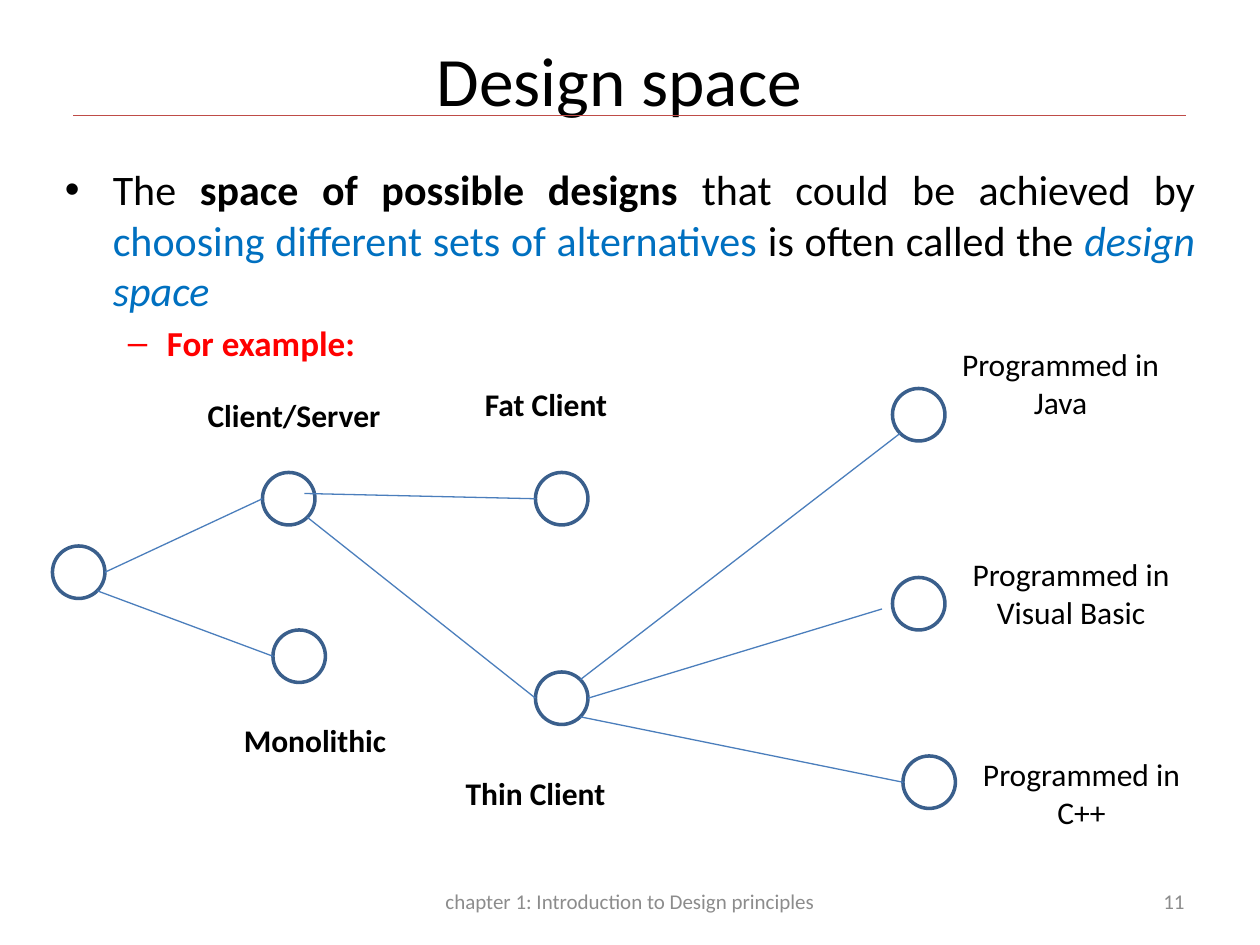
from math import cos, radians, sin

from lxml import etree
from pptx import Presentation
from pptx.dml.color import RGBColor
from pptx.enum.shapes import MSO_CONNECTOR, MSO_SHAPE
from pptx.enum.text import MSO_ANCHOR, PP_ALIGN
from pptx.oxml.ns import qn
from pptx.util import Inches, Pt

CENTER, RIGHT, JUSTIFY = PP_ALIGN.CENTER, PP_ALIGN.RIGHT, PP_ALIGN.JUSTIFY
TOP, MIDDLE = MSO_ANCHOR.TOP, MSO_ANCHOR.MIDDLE
OVAL, STRAIGHT = MSO_SHAPE.OVAL, MSO_CONNECTOR.STRAIGHT

BLACK = RGBColor(0x00, 0x00, 0x00)
WHITE = RGBColor(0xFF, 0xFF, 0xFF)
GRAY = RGBColor(0x8C, 0x8C, 0x8C)
BLUE = RGBColor(0x00, 0x70, 0xC0)
RED = RGBColor(0xFF, 0x00, 0x00)
OUTLINE = RGBColor(0x3A, 0x5F, 0x8C)
BRANCH = RGBColor(0x4B, 0x7E, 0xBC)
RULE = RGBColor(0xBF, 0x4C, 0x48)

COLUMNS, ROWS = 120, 90
NODE_SIZE = 5
LABEL_SIZE = (22, 7)


class TreeSlide:
    """Draws a titled decision tree on a grid of columns and rows."""

    def __init__(self, deck):
        self.slide = deck.slides.add_slide(deck.slide_layouts[6])
        self.column = deck.slide_width / COLUMNS
        self.row = deck.slide_height / ROWS
        self.base = {"name": "Calibri", "bold": False, "italic": False}

    def place(self, column, row):
        return round(column * self.column), round(row * self.row)

    def styled_run(self, paragraph, text, size, color=BLACK, **style):
        run = paragraph.add_run()
        run.text = text
        for key, value in {**self.base, "size": Pt(size), **style}.items():
            setattr(run.font, key, value)
        run.font.color.rgb = color

    def frame(self, column, row, width, height, anchor=MIDDLE):
        box = self.slide.shapes.add_textbox(
            *self.place(column, row), *self.place(width, height))
        for key, value in {"word_wrap": True, "vertical_anchor": anchor}.items():
            setattr(box.text_frame, key, value)
        return box.text_frame

    def text(self, area, text, size, color=BLACK, align=CENTER, **style):
        paragraph = self.frame(*area).paragraphs[0]
        paragraph.alignment = align
        self.styled_run(paragraph, text, size, color, **style)

    def bullets(self, area, items):
        frame = self.frame(*area, anchor=TOP)
        for index, (mark, margin, hang, size, before, runs) in enumerate(items):
            paragraph = frame.add_paragraph() if index else frame.paragraphs[0]
            properties = paragraph._p.get_or_add_pPr()
            properties.set("marL", str(Inches(margin)))
            properties.set("indent", str(-Inches(hang)))
            etree.SubElement(properties, qn("a:buFont"), typeface="Arial")
            etree.SubElement(properties, qn("a:buChar"), char=mark)
            paragraph.alignment = JUSTIFY
            paragraph.space_before = Pt(before)
            for text, color, style in runs:
                self.styled_run(paragraph, text, size, color, **style)

    def node(self, column, row):
        circle = self.slide.shapes.add_shape(
            OVAL, *self.place(column, row), *self.place(NODE_SIZE, NODE_SIZE))
        circle.shadow.inherit = False
        circle.fill.solid()
        circle.fill.fore_color.rgb = WHITE
        circle.line.color.rgb = OUTLINE
        circle.line.width = Pt(2)

    def line(self, start, end, color=BRANCH):
        connector = self.slide.shapes.add_connector(
            STRAIGHT, *self.place(*start), *self.place(*end))
        connector.line.color.rgb = color
        connector.line.width = Pt(0.75)
        etree.SubElement(connector._element.spPr, qn("a:effectLst"))


def rim(node, angle):
    """Return the point on a node's rim, clockwise in degrees from the right."""
    radius = NODE_SIZE / 2
    turn = radians(angle)
    return (node[0] + radius * (1 + cos(turn)),
            node[1] + radius * (1 + sin(turn)))


ROOT = (5, 52)
CLIENT_SERVER, MONOLITHIC = (25, 45), (26, 60)
FAT_CLIENT, THIN_CLIENT = (51, 45), (51, 64)
JAVA, VISUAL_BASIC, CPP = (85, 37), (85, 55), (86, 72)
NODES = [ROOT, CLIENT_SERVER, MONOLITHIC, FAT_CLIENT, THIN_CLIENT,
         JAVA, VISUAL_BASIC, CPP]

BRANCHES = [
    (rim(ROOT, 0), rim(CLIENT_SERVER, 180)),
    (rim(ROOT, 45), rim(MONOLITHIC, 180)),
    ((29, 47), rim(FAT_CLIENT, 180)),
    (rim(CLIENT_SERVER, 45), rim(THIN_CLIENT, 180)),
    (rim(THIN_CLIENT, -45), rim(JAVA, 135)),
    (rim(THIN_CLIENT, 0), (84, 58)),
    (rim(THIN_CLIENT, 45), rim(CPP, 180)),
]

LABELS = [
    (17, 36, "Client/Server", True),
    (19, 67, "Monolithic", True),
    (41, 35, "Fat Client", True),
    (40, 72, "Thin Client", True),
    (90, 33, "Programmed in Java", False),
    (91, 53, "Programmed in Visual Basic", False),
    (92, 72, "Programmed in C++", False),
]

BODY = [
    ("•", 0.38, 0.38, 24, 0, [
        ("The ", BLACK, {}),
        ("space of possible designs ", BLACK, {"bold": True}),
        ("that could be achieved by ", BLACK, {}),
        ("choosing different sets of alternatives ", BLUE, {}),
        ("is often called the ", BLACK, {}),
        ("design space", BLUE, {"italic": True}),
    ]),
    ("–", 0.81, 0.31, 20, 4, [("For example:", RED, {"bold": True})]),
]


def main():
    deck = Presentation()
    deck.slide_width, deck.slide_height = Inches(10), Inches(7.5)
    tree = TreeSlide(deck)
    tree.text((5, 3, 108, 9), "Design space", 39.6)
    tree.line((7, 11), (113, 11), RULE)
    tree.bullets((5, 15, 110, 63), BODY)
    for node in NODES:
        tree.node(*node)
    for start, end in BRANCHES:
        tree.line(start, end)
    for column, row, name, bold in LABELS:
        tree.text((column, row, *LABEL_SIZE), name, 18, bold=bold)
    tree.text((41, 83.4, 38, 4.8),
              "chapter 1: Introduction to Design principles", 12, GRAY)
    tree.text((86, 83.4, 28, 4.8), "11", 12, GRAY, RIGHT)
    deck.save("out.pptx")


if __name__ == "__main__":
    main()
